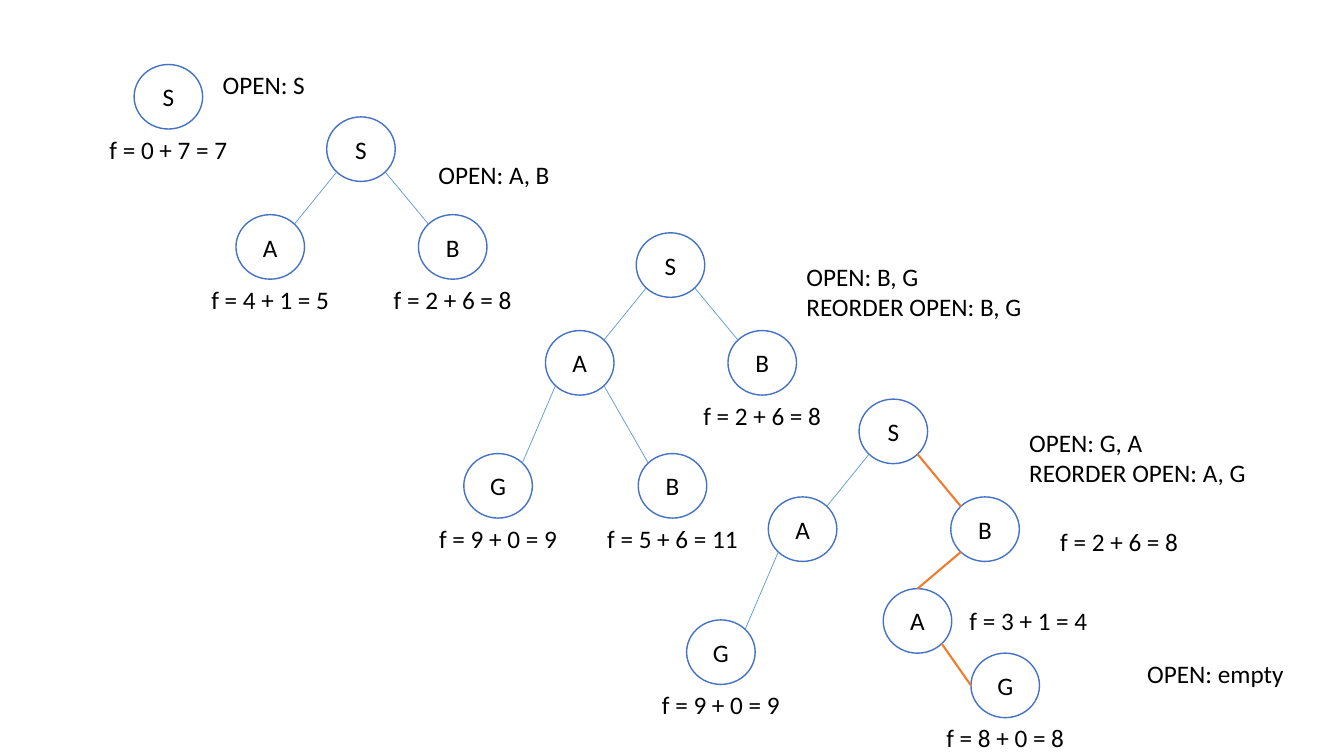
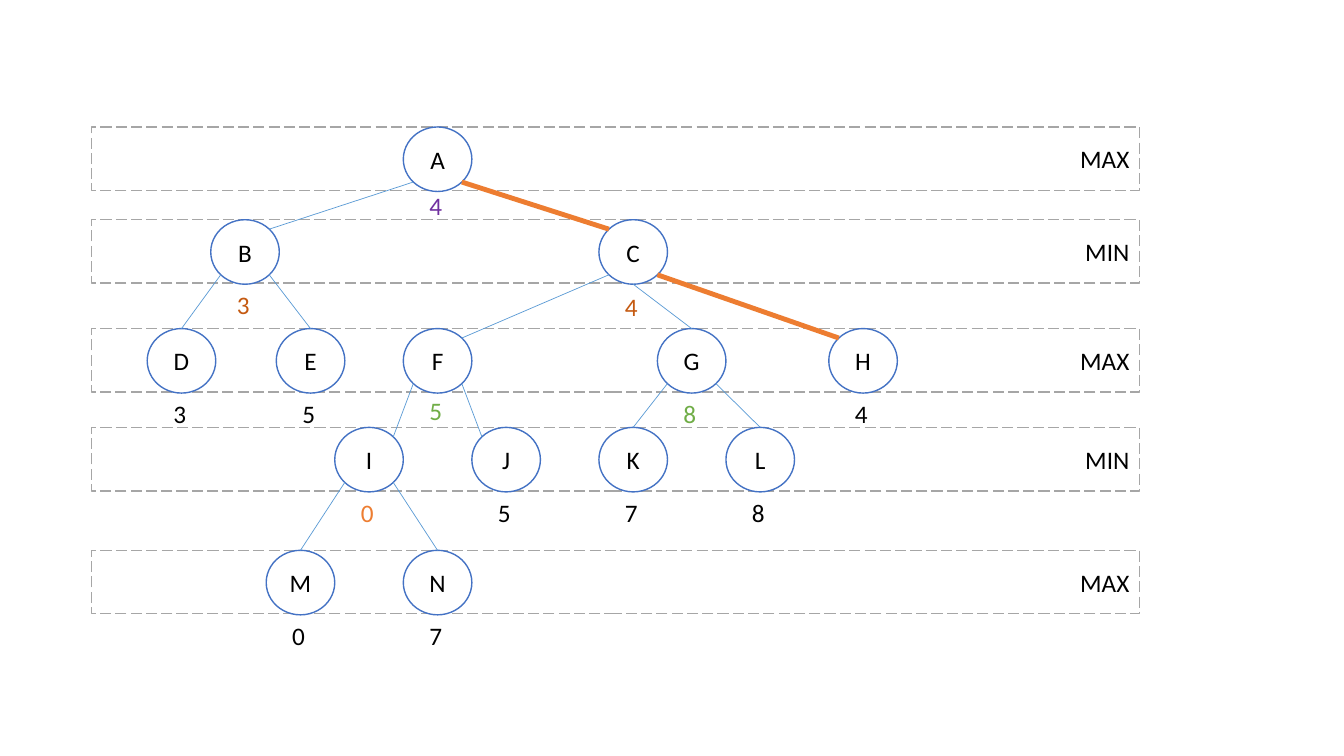
from math import sqrt
from lxml.etree import SubElement
from pptx import Presentation
from pptx.dml.color import RGBColor
from pptx.enum.dml import MSO_LINE as Dash
from pptx.enum.shapes import MSO_CONNECTOR as Link, MSO_SHAPE as Shape
from pptx.enum.text import MSO_ANCHOR as Anchor, MSO_AUTO_SIZE as Fit, PP_ALIGN as Align
from pptx.oxml.ns import qn
from pptx.util import Inches, Pt

WHITE = RGBColor(0xFF, 0xFF, 0xFF)
BLACK = RGBColor(0x00, 0x00, 0x00)
BLUE = RGBColor(0x44, 0x72, 0xC4)
SKY = RGBColor(0x5B, 0x9B, 0xD5)
ORANGE = RGBColor(0xED, 0x7D, 0x31)
RUST = RGBColor(0xC5, 0x5A, 0x11)
GREEN = RGBColor(0x70, 0xAD, 0x47)
PURPLE = RGBColor(0x70, 0x30, 0xA0)
GRAY = RGBColor(0xA6, 0xA6, 0xA6)

FONT = {"name": "Calibri", "size": Pt(18)}
NOTE = {"word_wrap": True, "auto_size": Fit.SHAPE_TO_FIT_TEXT}
BODY = {"word_wrap": True, "vertical_anchor": Anchor.MIDDLE}
RING = {"width": Pt(1)}
DASHED = {"width": Pt(1), "dash_style": Dash.LONG_DASH}

WIDE, HIGH = 0.68, 0.64
ROW = 0.4
SUM_WIDE = 1.86
HALF = sqrt(0.5)
SITES = {
    "N": (0, -1), "S": (0, 1), "W": (-1, 0),
    "NW": (-HALF, -HALF), "NE": (HALF, -HALF),
    "SW": (-HALF, HALF), "SE": (HALF, HALF),
}

SPOTS = {
    "S": (0, 0), "A": (-0.9, 0.97), "B": (0.91, 0.97),
    "G": (-1.71, 2.19), "B2": (0.02, 2.19),
    "A2": (0.24, 1.88), "G2": (1.11, 2.52),
}
FORK = ["S A SW NE", "S B SE NW"]
STEPS = [
    ((1.33, 0.64), "S", [], [], {"S": "f = 0 + 7 = 7"}),
    ((3.24, 1.16), "S A B", FORK, [],
     {"A": "f = 4 + 1 = 5", "B": "f = 2 + 6 = 8"}),
    ((6.31, 2.31), "S A B G B2", FORK + ["A G SW NE", "A B2 SE NW"], [],
     {"B": "f = 2 + 6 = 8", "G": "f = 9 + 0 = 9", "B2": "f = 5 + 6 = 11"}),
    ((8.52, 3.96), "S A B G A2 G2", ["S A SW NE", "A G SW NE"],
     ["S B SE NW", "B A2 SW N", "A2 G2 SE W"],
     {"G": "f = 9 + 0 = 9", "G2": "f = 8 + 0 = 8"}),
]
SIDE_SUMS = [(10.17, 5.17, "f = 2 + 6 = 8"), (9.27, 5.96, "f = 3 + 1 = 4")]
LISTS = [
    (2.11, 0.64, 1.23, "OPEN: S"),
    (4.25, 1.53, 1.56, "OPEN: A, B"),
    (7.9, 2.54, 2.9, "OPEN: B, G\nREORDER OPEN: B, G"),
    (10.11, 4.19, 2.9, "OPEN: G, A\nREORDER OPEN: A, G"),
    (11.28, 6.48, 1.81, "OPEN: empty"),
]

LEVELS = [
    (1.26, "MAX", {"A": 4}),
    (2.18, "MIN", {"B": 2.09, "C": 5.94}),
    (3.26, "MAX", {"D": 1.46, "E": 2.74, "F": 4, "G": 6.52, "H": 8.22}),
    (4.24, "MIN", {"I": 3.32, "J": 4.68, "K": 5.94, "L": 7.2}),
    (5.46, "MAX", {"M": 2.64, "N": 4}),
]
MOVES = [
    "A B SW NE", "B D SW N", "B E SE N", "C F SW NE", "C G S N",
    "F I SW NE", "F J SE NW", "G K SW N", "G L SE N", "I M SW N", "I N SE N",
]
BEST = ["A C SE NW", "C H SE NW"]
SCORES = {
    "A": "4", "B": "3", "C": "4", "D": "3", "E": "5", "F": "5", "G": "8",
    "H": "4", "I": "0", "J": "5", "K": "7", "L": "8", "M": "0", "N": "7",
}
TINTS = {"A": PURPLE, "B": RUST, "C": RUST, "F": GREEN, "G": GREEN, "I": ORANGE}
DROPS = {"A": 0.58, "C": 0.66, "F": 0.61}


def apply(item, values):
    for name, value in values.items():
        setattr(item, name, value)


def write(shape, text, frame, align, color=BLACK):
    apply(shape.text_frame, frame)
    shape.text_frame.text = text
    for para in shape.text_frame.paragraphs:
        para.alignment = align
        for run in para.runs:
            apply(run.font, FONT)
            run.font.color.rgb = color


def add_note(slide, x, y, wide, text, align=Align.LEFT, color=BLACK):
    high = ROW + 0.31 * text.count("\n")
    box = slide.shapes.add_textbox(Inches(x), Inches(y), Inches(wide), Inches(high))
    write(box, text, NOTE, align, color)


def add_sum(slide, x, y, text):
    add_note(slide, x, y, SUM_WIDE, text, Align.CENTER)


def add_form(slide, kind, x, y, wide, high, text, align, color, stroke):
    form = slide.shapes.add_shape(kind, Inches(x), Inches(y), Inches(wide), Inches(high))
    form.shadow.inherit = False
    form.fill.solid()
    form.fill.fore_color.rgb = WHITE
    form.line.color.rgb = color
    apply(form.line, stroke)
    write(form, text, BODY, align)


def add_node(slide, x, y, text):
    add_form(slide, Shape.OVAL, x, y, WIDE, HIGH, text, Align.CENTER, BLUE, RING)


def add_band(slide, y, text):
    add_form(slide, Shape.RECTANGLE, 0.91, y, 10.39, 0.63, text, Align.RIGHT, GRAY, DASHED)


def find_site(spot, site):
    x, y = spot
    across, down = SITES[site]
    return Inches(x + WIDE / 2 * (1 + across)), Inches(y + HIGH / 2 * (1 + down))


def add_edges(slide, spots, edges, color=SKY, width=0.5):
    for edge in edges:
        start, end, leave, enter = edge.split()
        line = slide.shapes.add_connector(
            Link.STRAIGHT, *find_site(spots[start], leave), *find_site(spots[end], enter))
        line.line.color.rgb = color
        line.line.width = Pt(width)
        SubElement(line.element.spPr, qn("a:effectLst"))


def draw_search(slide):
    for (left, top), names, edges, path_edges, sums in STEPS:
        spots = {name: (left + SPOTS[name][0], top + SPOTS[name][1])
                 for name in names.split()}
        for name, (x, y) in spots.items():
            add_node(slide, x, y, name[0])
        for name, text in sums.items():
            x, y = spots[name]
            add_sum(slide, x + (WIDE - SUM_WIDE) / 2, y + HIGH, text)
        add_edges(slide, spots, edges)
        add_edges(slide, spots, path_edges, ORANGE, 1.5)
    for x, y, text in SIDE_SUMS:
        add_sum(slide, x, y, text)
    for x, y, wide, text in LISTS:
        add_note(slide, x, y, wide, text)


def draw_game(slide):
    spots = {}
    for y, label, nodes in LEVELS:
        add_band(slide, y, label)
        spots.update({name: (x, y) for name, x in nodes.items()})
    for name, (x, y) in spots.items():
        add_node(slide, x, y, name)
    add_edges(slide, spots, MOVES)
    add_edges(slide, spots, BEST, ORANGE, 3.5)
    for name, score in SCORES.items():
        x, y = spots[name]
        add_note(slide, x + 0.16, y + DROPS.get(name, HIGH), 0.35, score,
                 color=TINTS.get(name, BLACK))


def main():
    deck = Presentation()
    apply(deck, {"slide_width": Inches(13.33), "slide_height": Inches(7.5)})
    for draw in (draw_search, draw_game):
        draw(deck.slides.add_slide(deck.slide_layouts[6]))
    deck.save("out.pptx")


if __name__ == "__main__":
    main()
